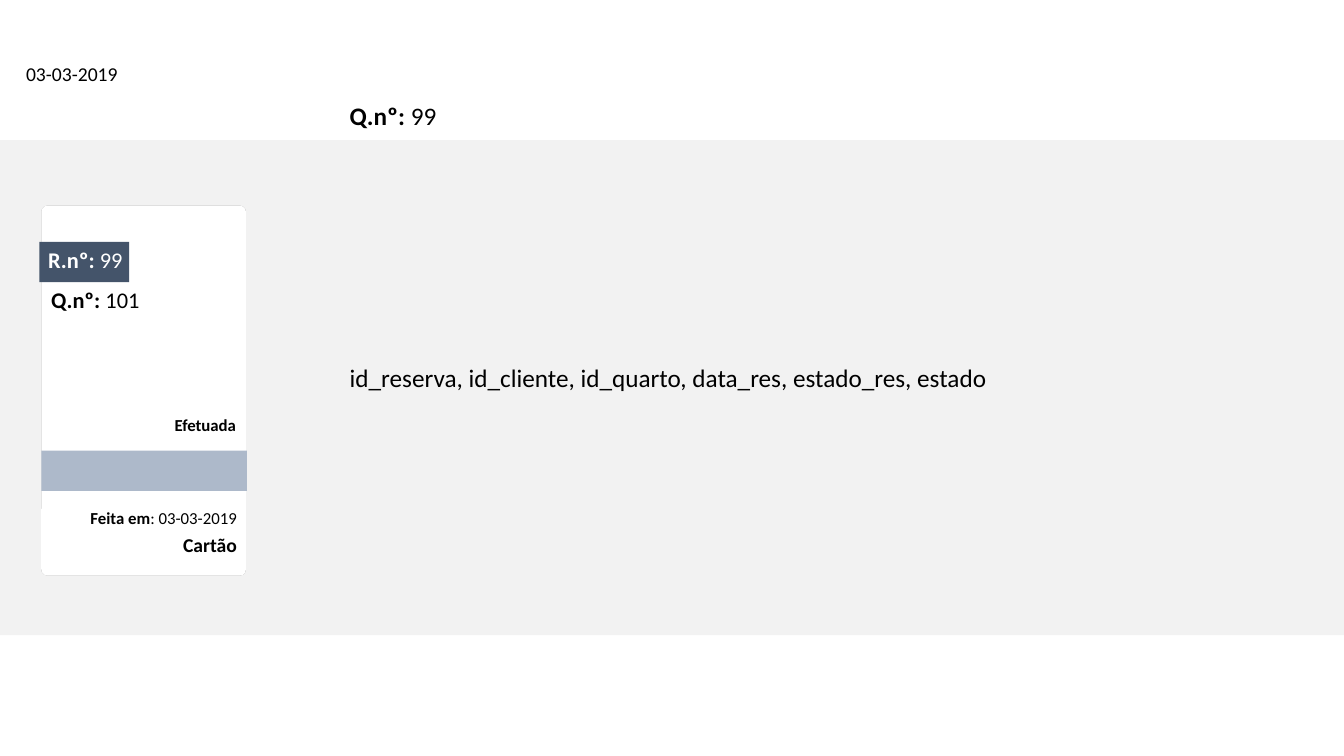
from lxml.etree import SubElement
from pptx import Presentation
from pptx.dml.color import RGBColor
from pptx.enum.shapes import MSO_SHAPE
from pptx.enum.text import MSO_AUTO_SIZE, PP_ALIGN
from pptx.oxml.ns import qn
from pptx.util import Pt

PX = 9144
COLORS = {
    "band": "F2F2F2",
    "card": "FFFFFF",
    "strip": "ADB9CA",
    "badge": "44546A",
    "ink": "000000",
    "light": "FFFFFF",
}


def add_block(page, box, color, kind=MSO_SHAPE.RECTANGLE):
    """Add a filled shape without an outline."""
    block = page.shapes.add_shape(kind, *(n * PX for n in box))
    block.shadow.inherit = False
    block.fill.solid()
    block.fill.fore_color.rgb = RGBColor.from_string(COLORS[color])
    block.line.fill.background()
    return block


def add_label(page, box, size, bold="", plain="", color="ink", align=PP_ALIGN.LEFT):
    """Add one line of text with a bold part and a plain part."""
    label = page.shapes.add_textbox(*(n * PX for n in box))
    frame = label.text_frame
    frame.word_wrap = False
    frame.auto_size = MSO_AUTO_SIZE.SHAPE_TO_FIT_TEXT
    para = frame.paragraphs[0]
    para.alignment = align
    for text, is_bold in ((bold, True), (plain, False)):
        if text:
            span = para.add_run()
            span.text = text
            style = {"name": "Calibri", "size": Pt(size), "bold": is_bold}
            for name, value in style.items():
                setattr(span.font, name, value)
            span.font.color.rgb = RGBColor.from_string(COLORS[color])


def add_glow(block):
    """Give a shape an unblurred shadow directly beneath it."""
    effects = block.fill._xPr.find(qn("a:effectLst"))
    shadow = SubElement(effects, qn("a:outerShdw"), blurRad="0", dist="0", dir="0")
    tint = SubElement(shadow, qn("a:srgbClr"), val=COLORS["ink"])
    SubElement(tint, qn("a:alpha"), val="40000")


def build_header(page, left, top):
    """Place the date and the room number above the band."""
    add_label(page, (left + 16, top + 57, 112, 34), 14, plain="03-03-2019")
    add_label(page, (left + 337, top + 95, 107, 40), 18, "Q.nº: ", "99")


def build_band(page, left, top, width, height):
    """Place the grey band and its list of fields."""
    add_block(page, (left, top, width, height), "band")
    fields = "id_reserva, id_cliente, id_quarto, data_res, estado_res, estado"
    add_label(page, (left + 337, top + 216, 652, 40), 18, plain=fields)


def build_card(page, left, top, width, height):
    """Place the reservation card with its badge, strip and labels."""
    card = add_block(page, (left, top, width, height), "card", MSO_SHAPE.ROUNDED_RECTANGLE)
    card.adjustments[0] = 0.03
    add_glow(card)
    add_block(page, (left, top + 243, width + 1, 40), "strip")
    add_block(page, (left - 2, top + 36, 89, 40), "badge")
    add_label(page, (left - 3, top + 35, 95, 37), 16, "R.nº: ", "99", "light")
    add_label(page, (left, top + 75, 109, 37), 16, "Q.nº: ", "101")
    right = left + width
    details = (
        (82, 203, 30, 12, "Efetuada", "", 0),
        (167, 295, 30, 12, "Feita em", ": 03-03-2019", 1),
        (74, 320, 34, 14, "Cartão", "", 1),
    )
    for wide, down, tall, size, bold, plain, shift in details:
        box = (right - wide + shift, top + down, wide, tall)
        add_label(page, box, size, bold, plain, align=PP_ALIGN.RIGHT)


def main():
    """Build the reservation slide and save it."""
    deck = Presentation()
    deck.slide_width = 1333 * PX
    deck.slide_height = 750 * PX
    page = deck.slides.add_slide(deck.slide_layouts[6])
    build_band(page, 0, 139, 1333, 491)
    build_header(page, 0, 0)
    build_card(page, 41, 204, 203, 367)
    deck.save("out.pptx")


if __name__ == "__main__":
    main()
